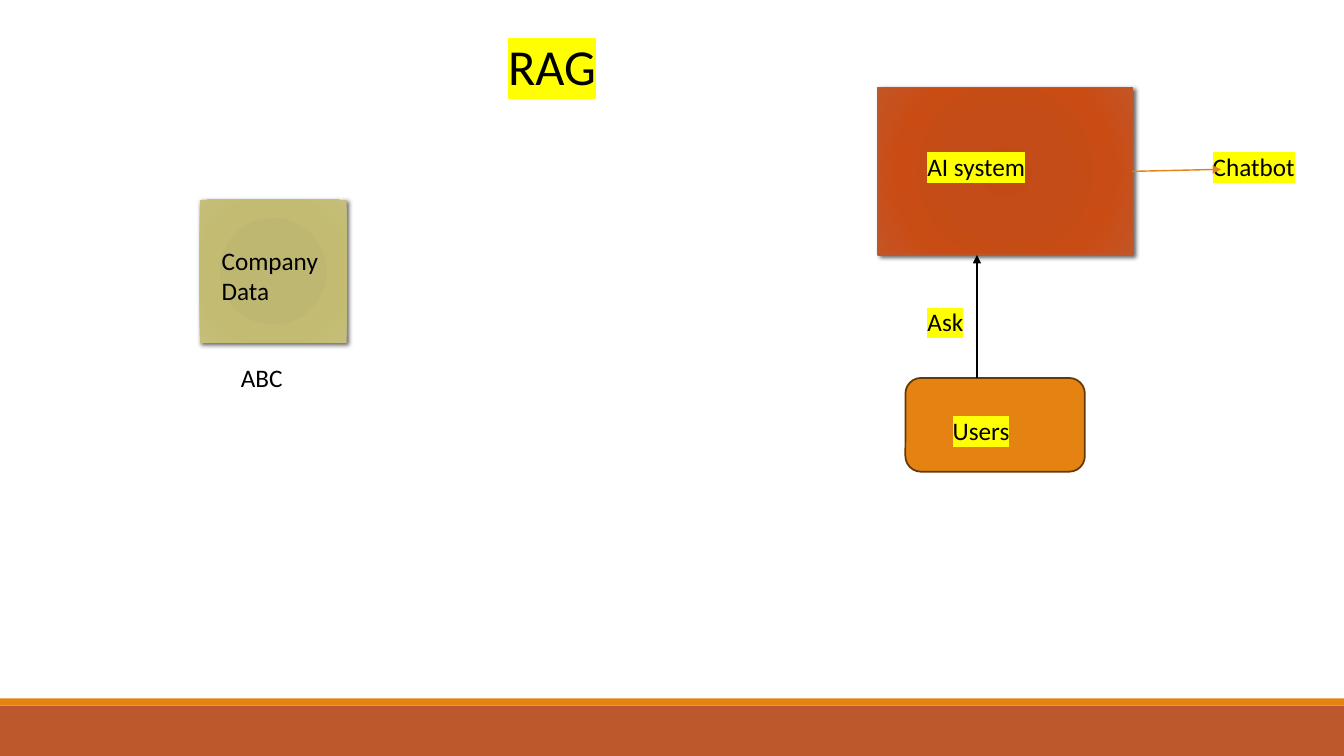
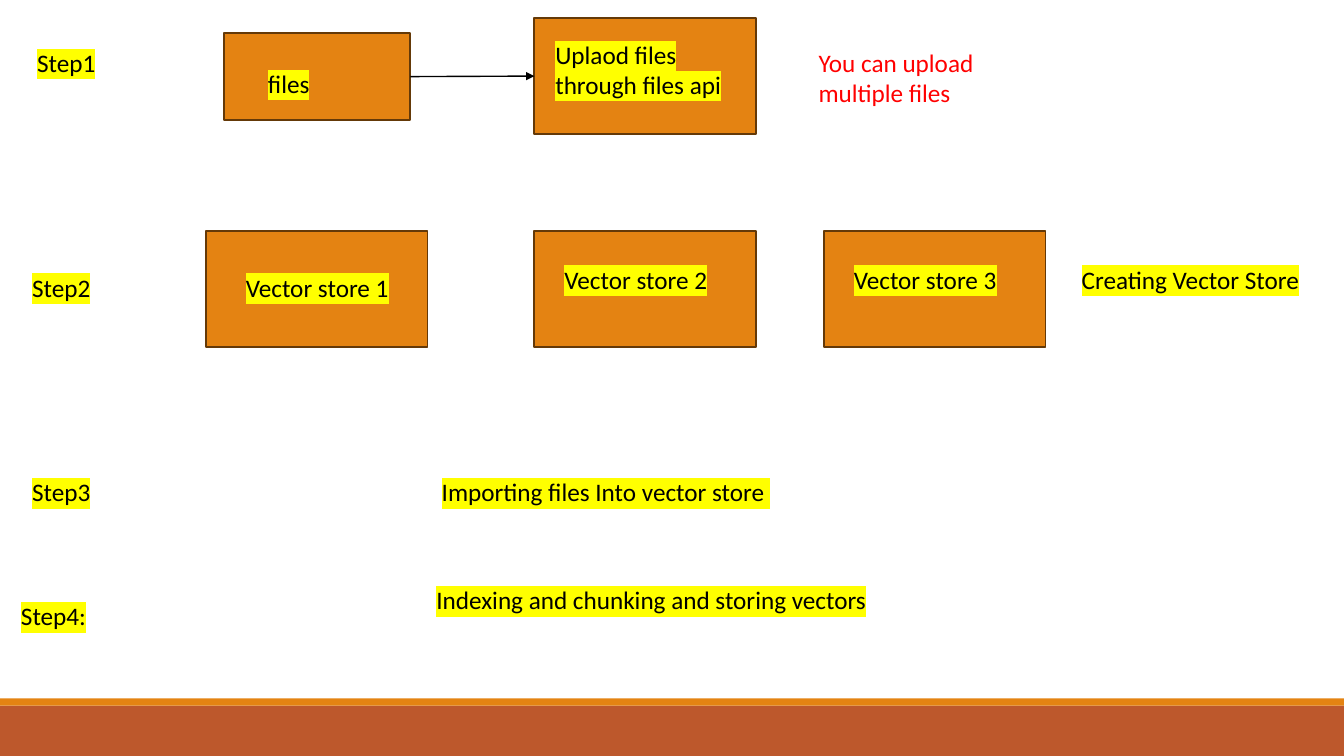
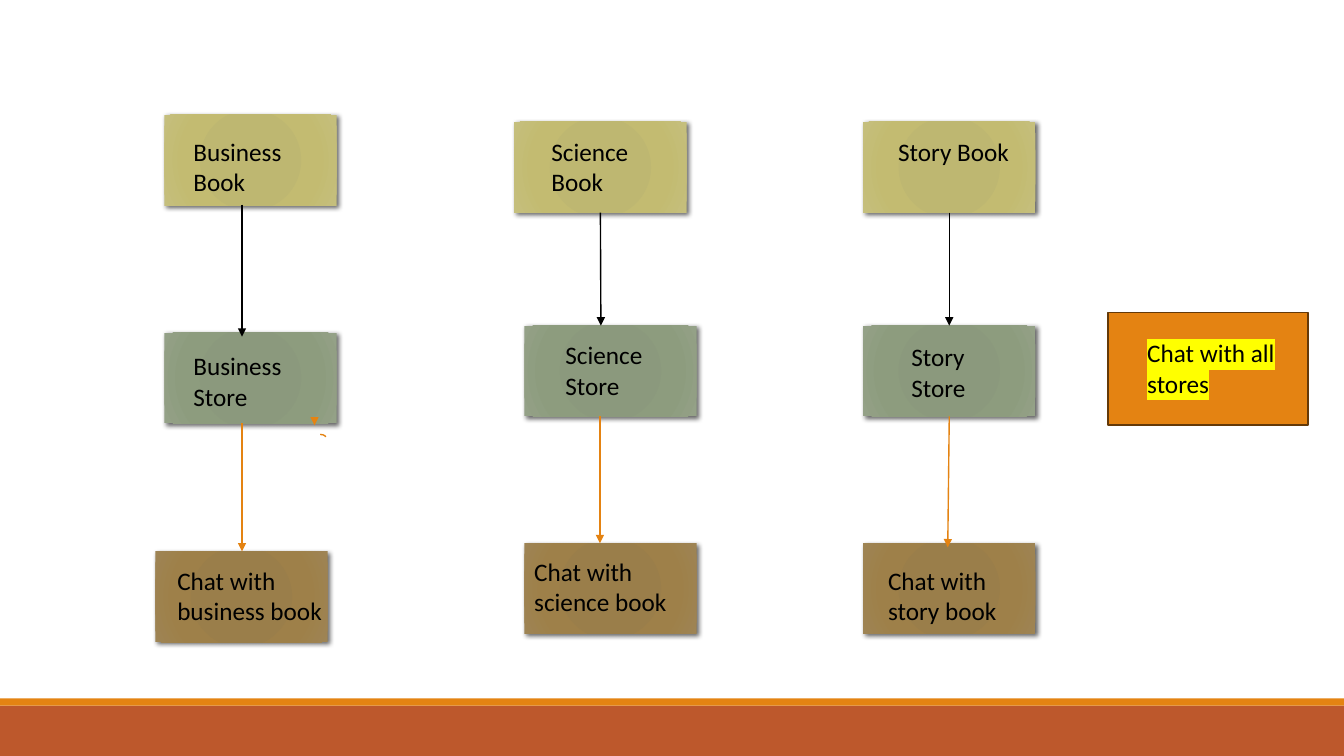
from dataclasses import dataclass
from typing import NamedTuple, Optional, Union

from lxml.etree import SubElement
from pptx import Presentation
from pptx.dml.color import RGBColor
from pptx.enum.shapes import MSO_CONNECTOR, MSO_SHAPE
from pptx.enum.text import MSO_ANCHOR, MSO_AUTO_SIZE, PP_ALIGN
from pptx.oxml.ns import qn
from pptx.shapes.autoshape import Shape
from pptx.slide import Slide
from pptx.util import Emu, Pt

# Shared scale, colours and type
SCALE = 9144  # EMU per px, 100 px to the inch
WIDE, HIGH = 1333, 750
FONT = "Calibri"
BLACK, RED, YELLOW = "000000", "FF0000", "FFFF00"
ORANGE, RUST, BROWN = "E48312", "BD582C", "643908"


@dataclass(frozen=True)
class Look:
    stops: tuple[str, ...]  # one colour is a flat fill, four make a glow
    edge: Optional[str] = None
    weight: float = 1
    blur: float = 0  # points of shadow blur, 0 for no shadow


class Box(NamedTuple):
    x: int
    y: int
    w: int
    h: int


class Note(NamedTuple):
    text: str
    box: Box
    mark: bool = True
    hue: str = BLACK
    align: PP_ALIGN = PP_ALIGN.LEFT


class Spot(NamedTuple):
    x: int
    y: int


class Join(NamedTuple):
    shape: Shape
    site: int


End = Union[Spot, Join]

PLAIN = Look((ORANGE,), BROWN, 1.25)
FLAME = Look(("C44A15", "C34C18", "C94C15", "C45525"), RUST, 1, 3)
STRAW = Look(("BEB76E", "BEB771", "C3BB71", "C5BF7D"), blur=3.5)
SAGE = Look(("8A987B", "8B997D", "8D9C7E", "94A187"), blur=3.5)
EARTH = Look(("9A7D48", "9A7E4A", "9E8049", "9E8454"), blur=3.5)


def px(num: int) -> Emu:
    return Emu(num * SCALE)


def tint(code: str) -> RGBColor:
    return RGBColor.from_string(code)


def glow(shape: Shape, stops: tuple[str, ...]) -> None:
    """Fill a shape with a radial gradient."""
    shape.fill.background()
    props = shape.element.spPr
    grad = SubElement(props, qn("a:gradFill"), rotWithShape="1")
    props.replace(props.find(qn("a:noFill")), grad)
    steps = SubElement(grad, qn("a:gsLst"))
    for place, code in zip((0, 34, 70, 100), stops):
        step = SubElement(steps, qn("a:gs"), pos=str(place * 1000))
        SubElement(step, qn("a:srgbClr"), val=code)
    round_ = SubElement(grad, qn("a:path"))
    round_.set("path", "circle")
    SubElement(round_, qn("a:fillToRect"), dict.fromkeys("ltrb", "100000"))


def shade(shape: Shape, blur: float) -> None:
    """Cast a soft shadow to the lower right."""
    list_ = shape.element.spPr.find(qn("a:effectLst"))
    cast = SubElement(list_, qn("a:outerShdw"), blurRad=str(Pt(blur)),
                      dist=str(Pt(2)), dir="2700000", algn="tl", rotWithShape="0")
    dark = SubElement(cast, qn("a:srgbClr"), val=BLACK)
    SubElement(dark, qn("a:alpha"), val="60000")


def draw(slide: Slide, box: Box, look: Look,
         kind: MSO_SHAPE = MSO_SHAPE.RECTANGLE) -> Shape:
    shape = slide.shapes.add_shape(kind, *map(px, box))
    shape.shadow.inherit = False
    if len(look.stops) > 1:
        glow(shape, look.stops)
    elif look.stops:
        shape.fill.solid()
        shape.fill.fore_color.rgb = tint(look.stops[0])
    else:
        shape.fill.background()
    if look.edge:
        shape.line.color.rgb = tint(look.edge)
        shape.line.width = Pt(look.weight)
    else:
        shape.line.fill.background()
    if look.blur:
        shade(shape, look.blur)
    return shape


def fill_text(shape: Shape, note: Note, size: int) -> None:
    frame = shape.text_frame
    frame.word_wrap = True
    frame.auto_size = MSO_AUTO_SIZE.SHAPE_TO_FIT_TEXT
    frame.vertical_anchor = MSO_ANCHOR.TOP
    para = frame.paragraphs[0]
    para.alignment = note.align
    run = para.add_run()
    run.text = note.text
    font = run.font
    font.size, font.name = Pt(size), FONT
    font.color.rgb = tint(note.hue)
    if note.mark:
        props = run.font.fill  # the highlight follows the text fill
        props.solid()
        props.fore_color.rgb = tint(note.hue)
        style = run._r.get_or_add_rPr()
        mark = SubElement(style, qn("a:highlight"))
        SubElement(mark, qn("a:srgbClr"), val=YELLOW)
        style.find(qn("a:solidFill")).addnext(mark)


def write(slide: Slide, *notes: Note) -> None:
    for note in notes:
        fill_text(slide.shapes.add_textbox(*map(px, note.box)), note, 18)


def arrow(slide: Slide, start: End, stop: End, hue: str = BLACK) -> None:
    first = start if isinstance(start, Spot) else Spot(0, 0)
    last = stop if isinstance(stop, Spot) else Spot(0, 0)
    line = slide.shapes.add_connector(
        MSO_CONNECTOR.STRAIGHT, *map(px, (*first, *last)))
    if isinstance(start, Join):
        line.begin_connect(*start)
    if isinstance(stop, Join):
        line.end_connect(*stop)
    line.line.color.rgb = tint(hue)
    line.line.width = Pt(1)
    props = line.element.spPr
    SubElement(props.find(qn("a:ln")), qn("a:tailEnd"), type="triangle")
    SubElement(props, qn("a:effectLst"))


def bands(slide: Slide) -> None:
    draw(slide, Box(0, 700, WIDE, 50), Look((RUST,)))
    draw(slide, Box(0, 693, WIDE, 7), Look((ORANGE,)))


def rag(slide: Slide) -> None:
    # Title
    title = slide.shapes.title
    spot = Box(475, 30, 145, 71)
    title.left, title.top, title.width, title.height = map(px, spot)
    fill_text(title, Note("RAG", spot, align=PP_ALIGN.CENTER), 36)

    # System, users and company data
    system = draw(slide, Box(871, 87, 252, 166), FLAME)
    draw(slide, Box(898, 375, 178, 93), PLAIN, MSO_SHAPE.ROUNDED_RECTANGLE)
    draw(slide, Box(198, 198, 146, 142), STRAW)
    write(slide,
          Note("AI system", Box(910, 145, 157, 40)),
          Note("Chatbot", Box(1193, 145, 114, 40)),
          Note("Users", Box(935, 407, 107, 40)),
          Note("Ask", Box(910, 299, 59, 40)),
          Note("Company Data", Box(210, 238, 123, 71), False),
          Note("ABC", Box(229, 355, 135, 40), False))
    arrow(slide, Join(system, 3), Spot(1211, 168), ORANGE)
    arrow(slide, Spot(969, 375), Spot(969, 253))


def steps(slide: Slide) -> None:
    # Step 1: upload
    files = draw(slide, Box(222, 33, 185, 86), PLAIN)
    load = draw(slide, Box(530, 18, 220, 115), PLAIN)
    arrow(slide, Join(files, 3), Join(load, 1))

    # Step 2: stores
    for left in (204, 530, 817):
        draw(slide, Box(left, 229, 220, 115), PLAIN)

    # Labels
    write(slide,
          Note("Step1", Box(27, 42, 178, 40)),
          Note("files", Box(256, 63, 97, 40)),
          Note("Uplaod files through files api", Box(541, 34, 196, 71)),
          Note("You can upload multiple files", Box(802, 42, 197, 71), False, RED),
          Note("Step2", Box(22, 265, 158, 40)),
          Note("Vector store 1", Box(234, 265, 173, 71)),
          Note("Vector store 2", Box(550, 257, 164, 40)),
          Note("Vector store 3", Box(837, 257, 174, 40)),
          Note("Creating Vector Store", Box(1063, 257, 248, 40)),
          Note("Step3", Box(22, 468, 211, 40)),
          Note("Importing files Into vector store ", Box(222, 468, 758, 40),
               align=PP_ALIGN.CENTER),
          Note("Step4:", Box(11, 591, 124, 40)),
          Note("Indexing and chunking and storing vectors",
               Box(423, 575, 478, 40)))


def stores(slide: Slide) -> None:
    # Tiers of books, stores and chats: tile corner, then its label
    tiers = (
        (STRAW, (
            (163, 114, "Business Book", Box(182, 130, 144, 71)),
            (510, 121, "Science Book", Box(537, 130, 116, 71)),
            (856, 121, "Story Book", Box(881, 130, 130, 71)))),
        (SAGE, (
            (163, 330, "Business Store", Box(182, 343, 145, 71)),
            (520, 323, "Science Store", Box(551, 332, 130, 71)),
            (856, 323, "Story Store", Box(894, 334, 121, 71)))),
        (EARTH, (
            (154, 547, "Chat with business book", Box(166, 556, 171, 71)),
            (520, 539, "Chat with science book", Box(520, 547, 171, 71)),
            (856, 539, "Chat with story book", Box(871, 556, 156, 71)))),
    )
    tiles: dict[str, Shape] = {}
    for look, row in tiers:
        for left, top, text, box in row:
            tiles[text] = draw(slide, Box(left, top, 171, 90), look)
            write(slide, Note(text, box, False))

    # Book to store
    arrow(slide, Spot(240, 203), Spot(240, 334))
    arrow(slide, Join(tiles["Science Book"], 2), Spot(596, 323))
    arrow(slide, Join(tiles["Story Book"], 2), Join(tiles["Story Store"], 0))

    # Store to chat
    arrow(slide, Spot(240, 420), Spot(240, 547), ORANGE)
    arrow(slide, Spot(595, 413), Spot(595, 539), ORANGE)
    arrow(slide, Join(tiles["Story Store"], 2), Spot(940, 543), ORANGE)

    # Chat across stores, and the stray strokes
    draw(slide, Box(1099, 310, 198, 112), PLAIN)
    write(slide, Note("Chat with all stores", Box(1128, 330, 165, 101)))
    arrow(slide, Spot(312, 420), Spot(312, 422), ORANGE)
    draw(slide, Box(312, 431, 11, 5), Look((), ORANGE), MSO_SHAPE.ARC)


def main() -> None:
    deck = Presentation()
    deck.slide_width, deck.slide_height = px(WIDE), px(HIGH)
    titled, blank = deck.slide_layouts[5], deck.slide_layouts[6]
    for layout, build in ((titled, rag), (blank, steps), (blank, stores)):
        slide = deck.slides.add_slide(layout)
        bands(slide)
        build(slide)
    deck.save("out.pptx")


if __name__ == "__main__":
    main()
